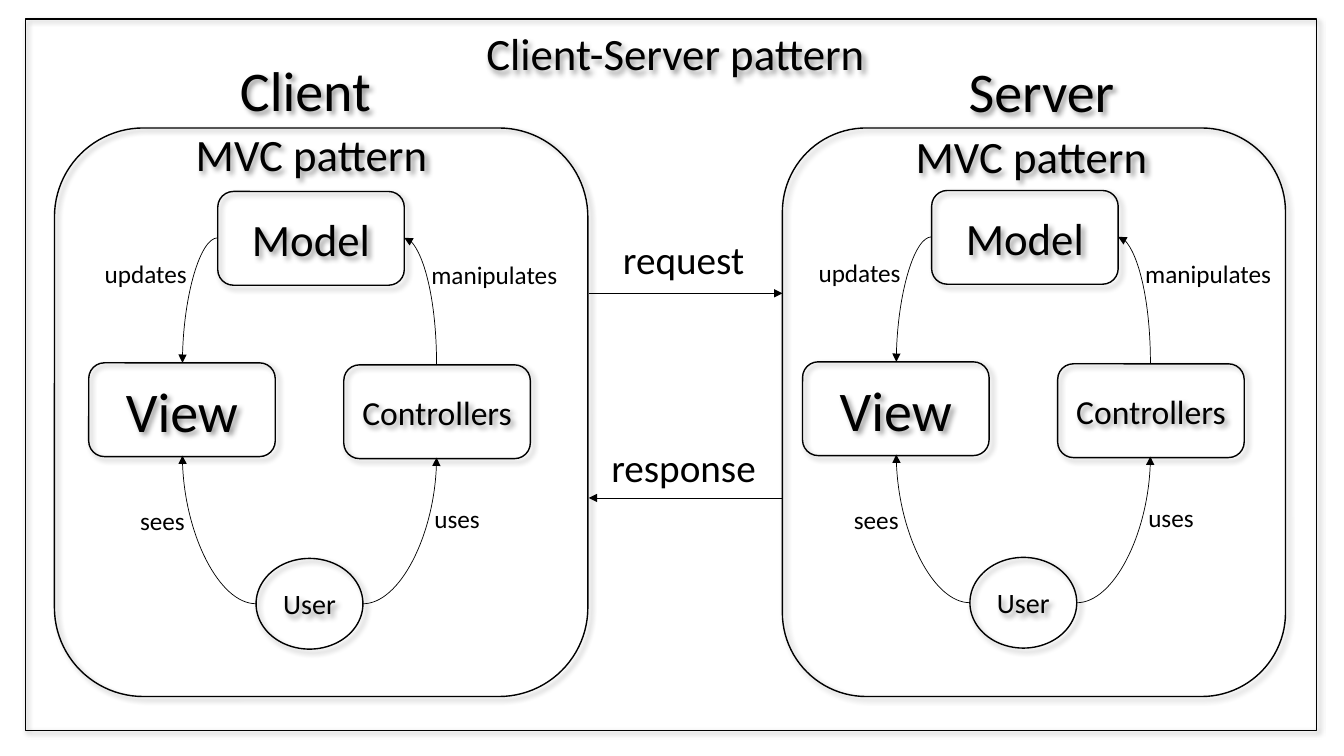
from lxml import etree
from pptx import Presentation
from pptx.dml.color import RGBColor
from pptx.enum import shapes, text
from pptx.oxml import parse_xml
from pptx.oxml.ns import nsdecls, qn
from pptx.util import Inches, Pt

COLORS = {"ink": "000000"}
INK = RGBColor.from_string(COLORS["ink"])
SHADOW = (
    f'<a:effectLst {nsdecls("a")}><a:outerShdw blurRad="50800" dist="38100" dir="2700000" algn="tl" '
    f'rotWithShape="0"><a:srgbClr val="{COLORS["ink"]}"><a:alpha val="40000"/></a:srgbClr>'
    '</a:outerShdw></a:effectLst>'
)
KIND = shapes.MSO_SHAPE

deck = Presentation()
deck.slide_width, deck.slide_height = Inches(13.33), Inches(7.5)
slide = deck.slides.add_slide(deck.slide_layouts[6])


def add_block(kind, left, top, width, height, words="", size=18, centred=True, shadow=True):
    bounds = [Inches(n) for n in (left, top, width, height)]
    if kind is None:
        block = slide.shapes.add_textbox(*bounds)
        block.text_frame.auto_size = text.MSO_AUTO_SIZE.SHAPE_TO_FIT_TEXT
    else:
        block = slide.shapes.add_shape(kind, *bounds)
        block.line.color.rgb = INK
        block.line.width = Pt(1)
        block.text_frame.vertical_anchor = text.MSO_ANCHOR.MIDDLE
    block.fill.background()
    if shadow:
        block._element.spPr.append(parse_xml(SHADOW))
    block.text_frame.word_wrap = True
    if words:
        paragraph = block.text_frame.paragraphs[0]
        paragraph.alignment = text.PP_ALIGN.CENTER if centred else text.PP_ALIGN.LEFT
        run = paragraph.add_run()
        run.text = words
        run.font.name, run.font.size = "Calibri", Pt(size)
        run.font.color.rgb = INK


def add_arrow(start, end, arrow_end="tailEnd", curved=False):
    arrow = slide.shapes.add_connector(
        shapes.MSO_CONNECTOR.CURVE if curved else shapes.MSO_CONNECTOR.STRAIGHT,
        *[Inches(n) for n in (*start, *end)])
    arrow.line.color.rgb = INK
    arrow.line.width = Pt(0.5)
    properties = arrow._element.spPr
    if curved:
        properties.find(qn("a:prstGeom")).set("prst", "curvedConnector2")
    etree.SubElement(arrow.line._get_or_add_ln(), qn("a:" + arrow_end), type="triangle")
    etree.SubElement(properties, qn("a:effectLst"))


add_block(KIND.RECTANGLE, 0.25, 0.19, 12.81, 7.06)
add_block(None, 4.4, 0.21, 4.6, 0.64, "Client-Server pattern", 32)

sides = [
    ("Client", 0.54, 5.29, 2.18, 0.5, 1.78, 1.21, 0, 0),
    ("Server", 7.76, 4.99, 9.48, 0.51, 8.92, 1.23, 7.08, -0.01),
]
parts = [
    (KIND.ROUNDED_RECTANGLE, 2.16, 1.9, 1.85, 0.93, "Model", 32),
    (KIND.ROUNDED_RECTANGLE, 0.88, 3.6, 1.85, 0.93, "View", 40),
    (KIND.ROUNDED_RECTANGLE, 3.41, 3.62, 1.85, 0.93, "Controllers", 24),
    (KIND.OVAL, 2.54, 5.54, 1.06, 0.9, "User", 20),
]
relations = [
    ("updates", 0.94, 2.51, 1.09, (2.16, 2.36), (1.81, 3.6), "tailEnd"),
    ("manipulates", 4.18, 2.52, 1.54, (4.01, 2.36), (4.33, 3.62), "headEnd"),
    ("sees", 1.29, 4.96, 0.71, (2.54, 5.99), (1.81, 4.52), "tailEnd"),
    ("uses", 4.21, 4.94, 0.71, (3.6, 5.99), (4.33, 4.54), "tailEnd"),
]
for side, left, width, name_left, name_top, pattern_left, pattern_top, dx, dy in sides:
    add_block(KIND.ROUNDED_RECTANGLE, left, 1.27, width, 5.64)
    add_block(None, name_left, name_top, 1.7, 0.77, side, 40)
    add_block(None, pattern_left, pattern_top, 2.62, 0.64, "MVC pattern", 32)
    for kind, x, y, w, h, words, size in parts:
        add_block(kind, x + dx, y + dy, w, h, words, size)
    for words, x, y, w, start, end, arrow_end in relations:
        add_arrow((start[0] + dx, start[1] + dy), (end[0] + dx, end[1] + dy), arrow_end, curved=True)
        add_block(None, x + dx, y + dy, w, 0.4, words, centred=False, shadow=False)

messages = [("request", 2.29, 2.91, "tailEnd"), ("response", 4.35, 4.94, "headEnd")]
for words, label_top, arrow_y, arrow_end in messages:
    add_arrow((5.84, arrow_y), (7.76, arrow_y), arrow_end)
    add_block(None, 5.93, label_top, 1.7, 0.57, words, 28, shadow=False)

deck.save("out.pptx")
